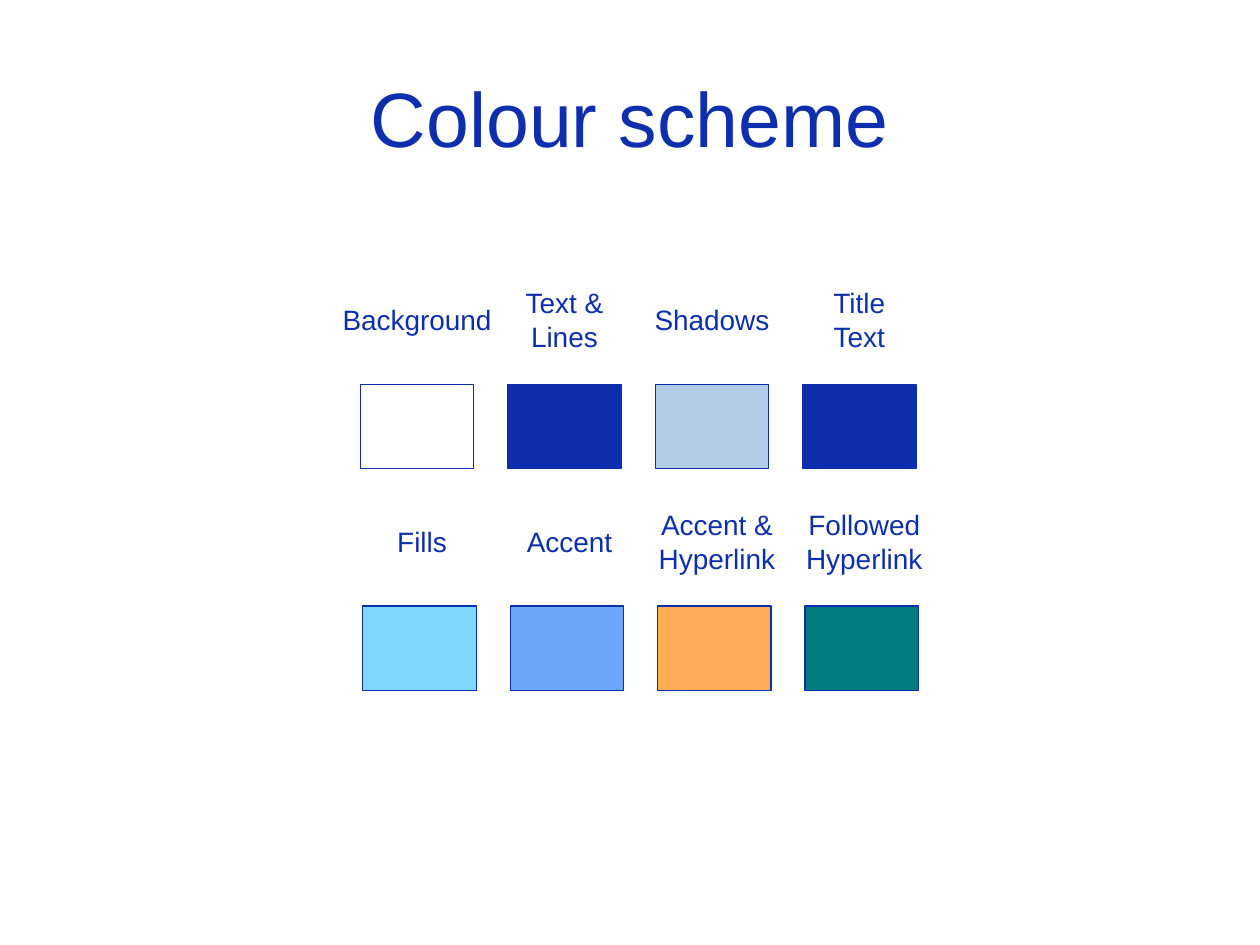
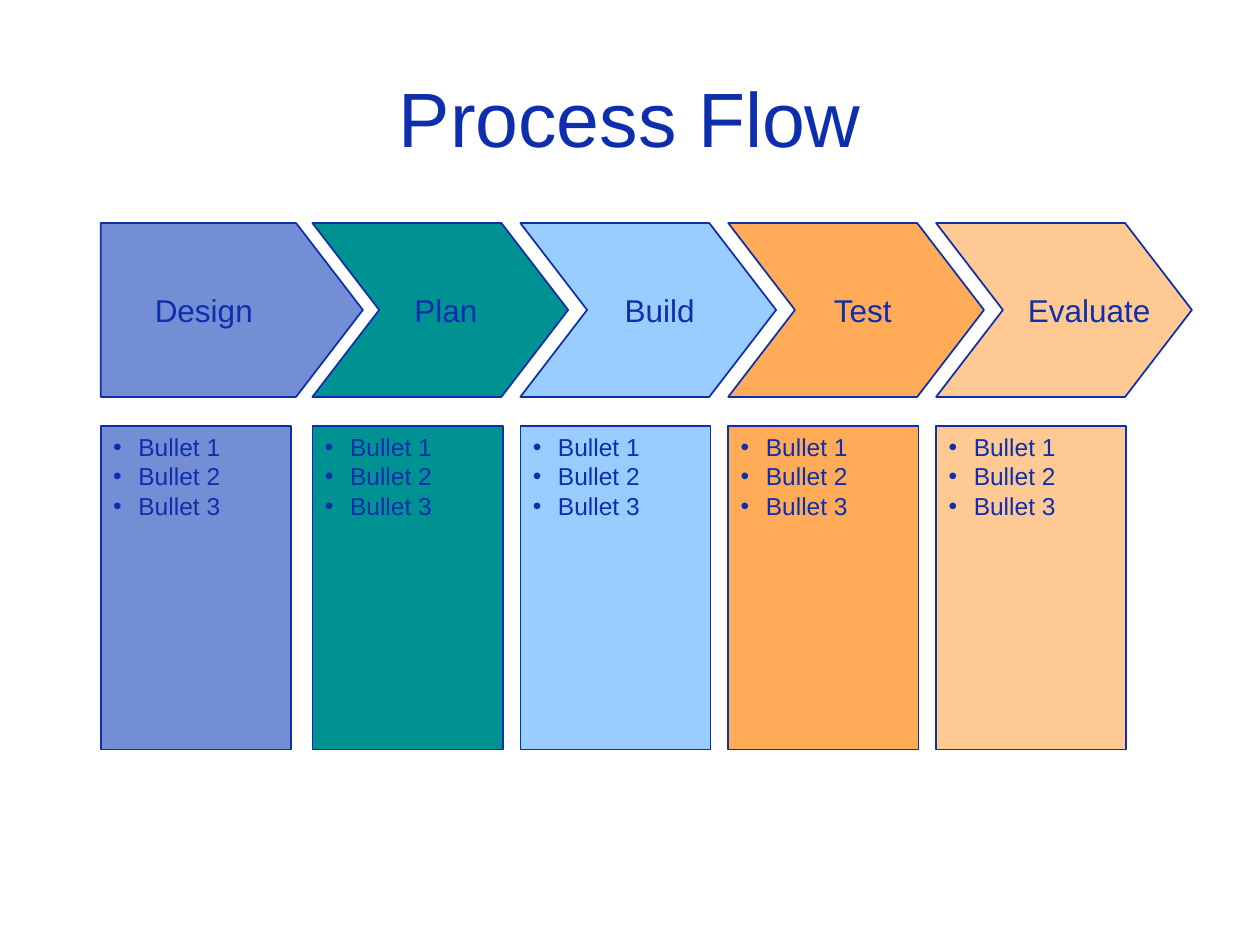
from dataclasses import dataclass

from lxml.etree import SubElement
from pptx import Presentation
from pptx.dml.color import RGBColor
from pptx.enum.shapes import MSO_SHAPE as Preset
from pptx.enum.text import MSO_ANCHOR as Anchor
from pptx.enum.text import MSO_AUTO_SIZE as AutoSize
from pptx.enum.text import PP_ALIGN as Align
from pptx.oxml.ns import qn
from pptx.util import Inches, Pt


@dataclass(frozen=True)
class Theme:
    font: str = "Arial"
    ink: str = "0E2FAD"
    paper: str = "FFFFFF"
    shadow: str = "B3CCE6"
    sky: str = "7FD7FC"
    azure: str = "6BA7F8"
    orange: str = "FFAB57"
    green: str = "007B7E"
    periwinkle: str = "748ED6"
    teal: str = "009193"
    ice: str = "99CCFF"
    peach: str = "FFC993"
    title_size: int = 44
    stage_size: int = 18
    label_size: int = 16
    bullet_size: int = 14
    swatch_line: float = 0.75
    stage_line: float = 1


@dataclass(frozen=True)
class Box:
    left: float
    top: float
    width: float
    height: float

    def inner(self, left, top, width, height):
        return Box(self.left + left, self.top + top, width, height)

    def lengths(self):
        return [grid(n) for n in (self.left, self.top, self.width, self.height)]


THEME = Theme()
GRID_COLUMNS, GRID_ROWS = 10, 7.5
SLIDE_WIDTH, SLIDE_HEIGHT = Inches(10), Inches(7.5)
TITLE_BOX = Box(0.5, 0.3, 9, 1.25)

SWATCH_PITCH, SWATCH_WIDTH, SWATCH_HEIGHT = 1.17, 0.9, 0.67
LABEL_CENTRE = 0.51
PALETTE_ROWS = [
    (Box(2.86, 3.05, 4.41, 0.67), 0, [
        (["Background"], 1.39, THEME.paper),
        (["Text &", "Lines"], 0.84, THEME.ink),
        (["Shadows"], 1.12, THEME.shadow),
        (["Title\vText"], 0.63, THEME.ink),
    ]),
    (Box(2.88, 4.81, 4.41, 0.67), 0.02, [
        (["Fills"], 0.6, THEME.sky),
        (["Accent"], 0.88, THEME.azure),
        (["Accent &", "Hyperlink"], 1.13, THEME.orange),
        (["Followed", "Hyperlink"], 1.13, THEME.green),
    ]),
]

STAGE_PITCH, STAGE_WIDTH, ARROW_TIP = 1.65, 1.51, 0.53
FIRST_LEFT, SECOND_LEFT = 0.8, 2.48
ARROW_HEIGHT, PANEL_TOP = 1.38, 1.61
BULLETS = ["Bullet 1", "Bullet 2", "Bullet 3"]
STAGES = [
    ("Design", 0.33, 0.98, THEME.periwinkle),
    ("Plan", 0.71, 0.7, THEME.teal),
    ("Build", 0.73, 0.76, THEME.ice),
    ("Test", 0.74, 0.69, THEME.orange),
    ("Evaluate", 0.63, 1.17, THEME.peach),
]


def grid(cells):
    return round(cells * SLIDE_WIDTH / GRID_COLUMNS)


def paint(shape, fill, line_width):
    shape.shadow.inherit = False
    shape.fill.solid()
    shape.fill.fore_color.rgb = RGBColor.from_string(fill)
    shape.line.color.rgb = RGBColor.from_string(THEME.ink)
    shape.line.width = Pt(line_width)


def add_bullet(para):
    properties = para._p.get_or_add_pPr()
    properties.set("marL", str(grid(0.2)))
    properties.set("indent", str(-grid(0.2)))
    SubElement(properties, qn("a:buFont"), typeface=THEME.font)
    SubElement(properties, qn("a:buChar"), char="•")


def write(frame, lines, size, align, bullets=False):
    for index, line in enumerate(lines):
        para = frame.paragraphs[0] if index == 0 else frame.add_paragraph()
        para.text = line
        para.alignment = align
        if bullets:
            add_bullet(para)
        para.font.name = THEME.font
        para.font.size = Pt(size)
        para.font.color.rgb = RGBColor.from_string(THEME.ink)


def add_label(page, box, lines, size, align):
    frame = page.shapes.add_textbox(*box.lengths()).text_frame
    frame.word_wrap = False
    frame.auto_size = AutoSize.SHAPE_TO_FIT_TEXT
    write(frame, lines, size, align)


def add_panel(page, box, fill, line_width):
    panel = page.shapes.add_shape(Preset.RECTANGLE, *box.lengths())
    paint(panel, fill, line_width)
    return panel


def add_page(deck, heading):
    page = deck.slides.add_slide(deck.slide_layouts[5])
    title = page.shapes.title
    title.left, title.top, title.width, title.height = TITLE_BOX.lengths()
    title.text_frame.vertical_anchor = Anchor.MIDDLE
    write(title.text_frame, [heading], THEME.title_size, Align.CENTER)
    return page


def add_palette_row(page, box, label_shift, swatches):
    for index, (lines, label_width, fill) in enumerate(swatches):
        left = index * SWATCH_PITCH
        add_panel(page, box.inner(left, 0, SWATCH_WIDTH, SWATCH_HEIGHT),
                  fill, THEME.swatch_line)
        line_count = len("\v".join(lines).split("\v"))
        label_height = 0.1 + 0.27 * line_count
        label_left = left + (SWATCH_WIDTH - label_width) / 2 + label_shift
        label_top = -LABEL_CENTRE - label_height / 2
        add_label(page, box.inner(label_left, label_top, label_width, label_height),
                  lines, THEME.label_size, Align.CENTER)


def add_arrow(page, box, fill, notched):
    right, bottom = box.left + box.width, box.top + box.height
    middle = box.top + box.height / 2
    points = [(right - ARROW_TIP, box.top), (right, middle),
              (right - ARROW_TIP, bottom), (box.left, bottom)]
    if notched:
        points.append((box.left + ARROW_TIP, middle))
    builder = page.shapes.build_freeform(grid(box.left), grid(box.top))
    builder.add_line_segments([(grid(x), grid(y)) for x, y in points])
    paint(builder.convert_to_shape(), fill, THEME.stage_line)


def add_stage(page, box, stage, first):
    name, label_left, label_width, fill = stage
    panel = add_panel(page, box.inner(0, PANEL_TOP, STAGE_WIDTH, box.height - PANEL_TOP),
                      fill, THEME.stage_line)
    panel.text_frame.word_wrap = True
    panel.text_frame.vertical_anchor = Anchor.TOP
    write(panel.text_frame, BULLETS, THEME.bullet_size, Align.LEFT, bullets=True)
    arrow_width = 2.08 if first else 2.03
    add_arrow(page, box.inner(0, 0, arrow_width, ARROW_HEIGHT), fill, not first)
    add_label(page, box.inner(label_left, 0.49, label_width, 0.4),
              [name], THEME.stage_size, Align.LEFT)


def add_process(page, box):
    for index, stage in enumerate(STAGES):
        first = index == 0
        left = FIRST_LEFT if first else SECOND_LEFT + (index - 1) * STAGE_PITCH
        add_stage(page, box.inner(left - FIRST_LEFT, 0, STAGE_WIDTH, box.height),
                  stage, first)


def main():
    deck = Presentation()
    deck.slide_width, deck.slide_height = SLIDE_WIDTH, SLIDE_HEIGHT
    palette_page = add_page(deck, "Colour scheme")
    for box, label_shift, swatches in PALETTE_ROWS:
        add_palette_row(palette_page, box, label_shift, swatches)
    add_process(add_page(deck, "Process Flow"), Box(FIRST_LEFT, 1.77, 8.66, 4.18))
    deck.save("out.pptx")


if __name__ == "__main__":
    main()
